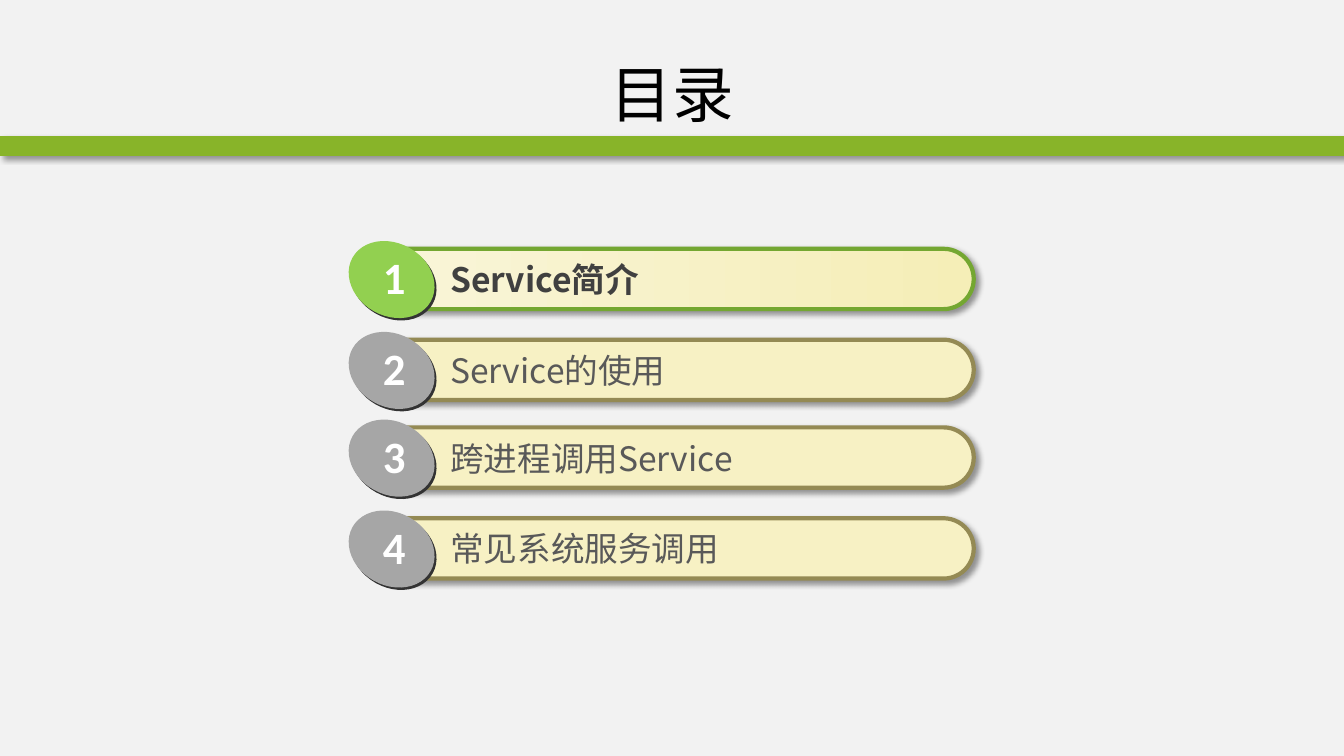
from lxml.etree import SubElement
from pptx import Presentation
from pptx.dml.color import RGBColor
from pptx.enum.shapes import MSO_SHAPE
from pptx.enum.text import MSO_ANCHOR, MSO_AUTO_SIZE, PP_ALIGN
from pptx.oxml.ns import qn
from pptx.util import Cm, Pt

CJK = "Noto Sans CJK SC"
ITEMS = [
    (6.27, "Service简介"),
    (8.56, "Service的使用"),
    (10.77, "跨进程调用Service"),
    (13.06, "常见系统服务调用"),
]


def rgb(color):
    return RGBColor.from_string(color)


def add_filled(shapes, kind, left, top, width, height, color):
    sp = shapes.add_shape(kind, Cm(left), Cm(top), Cm(width), Cm(height))
    sp.shadow.inherit = False
    sp.fill.solid()
    sp.fill.fore_color.rgb = rgb(color)
    sp.line.fill.background()
    return sp


def add_shadow(sp):
    effects = sp._element.spPr.find(qn("a:effectLst"))
    shadow = SubElement(effects, qn("a:outerShdw"), blurRad=str(Pt(4)), dist=str(Pt(3)),
                        dir="2700000", algn="tl", rotWithShape="0")
    color = SubElement(shadow, qn("a:srgbClr"), val="000000")
    SubElement(color, qn("a:alpha"), val="40000")


def add_text(shapes, left, top, width, height, text, size, color, font=CJK, bold=False, wrap=True):
    tf = shapes.add_textbox(Cm(left), Cm(top), Cm(width), Cm(height)).text_frame
    tf.word_wrap = wrap
    tf.auto_size = MSO_AUTO_SIZE.SHAPE_TO_FIT_TEXT
    p = tf.paragraphs[0]
    p.text = text
    p.font.size = Pt(size)
    p.font.bold = bold
    p.font.color.rgb = rgb(color)
    p.font.name = font
    SubElement(p.font._element, qn("a:ea"), typeface=font)
    return tf


def add_title(s, text):
    tf = add_text(s.shapes, 1.7, 0.76, 30.48, 3.18, text, 44, "000000")
    tf.auto_size = MSO_AUTO_SIZE.NONE
    tf.vertical_anchor = MSO_ANCHOR.MIDDLE
    tf.paragraphs[0].alignment = PP_ALIGN.CENTER


def add_item(s, number, top, text, active):
    shapes = s.shapes.add_group_shape().shapes
    bar = add_filled(shapes, MSO_SHAPE.ROUNDED_RECTANGLE, 9.3, top, 15.24, 1.52, "F7F1C4")
    bar.adjustments[0] = 0.5
    bar.line.color.rgb = rgb("74A731" if active else "948A54")
    bar.line.width = Pt(3)
    add_shadow(bar)
    if active:
        bar.fill.gradient()
        bar.fill.gradient_angle = 0
        for stop, color in zip(bar.fill.gradient_stops, ("F9F5D9", "F5EEB7")):
            stop.color.rgb = rgb(color)
    add_text(shapes, 11.1, top + 0.13, 11.66, 1.28, text, 24,
             "404040" if active else "595959", bold=active)
    badge = "92D050" if active else "A6A6A6"
    for left, rise, color in ((8.79, 0.08, "333333"), (8.74, 0.14, badge)):
        disc = add_filled(shapes, MSO_SHAPE.OVAL, left, top - rise, 2.26, 1.83, color)
        disc.rotation = 29.3
    add_text(shapes, 9.4, top - 0.09, 1.09, 1.63, str(number), 32, "FFFFFF",
             font="Calibri", bold=True, wrap=False)


def main():
    prs = Presentation()
    prs.slide_width, prs.slide_height = Cm(33.87), Cm(19.05)
    s = prs.slides.add_slide(prs.slide_layouts[6])
    s.background.fill.solid()
    s.background.fill.fore_color.rgb = rgb("F2F2F2")
    band = add_filled(s.shapes, MSO_SHAPE.RECTANGLE, 0, 3.43, 33.87, 0.5, "88B429")
    add_shadow(band)
    add_title(s, "目录")
    for number, (top, text) in enumerate(ITEMS, 1):
        add_item(s, number, top, text, number == 1)
    prs.save("out.pptx")


if __name__ == "__main__":
    main()
